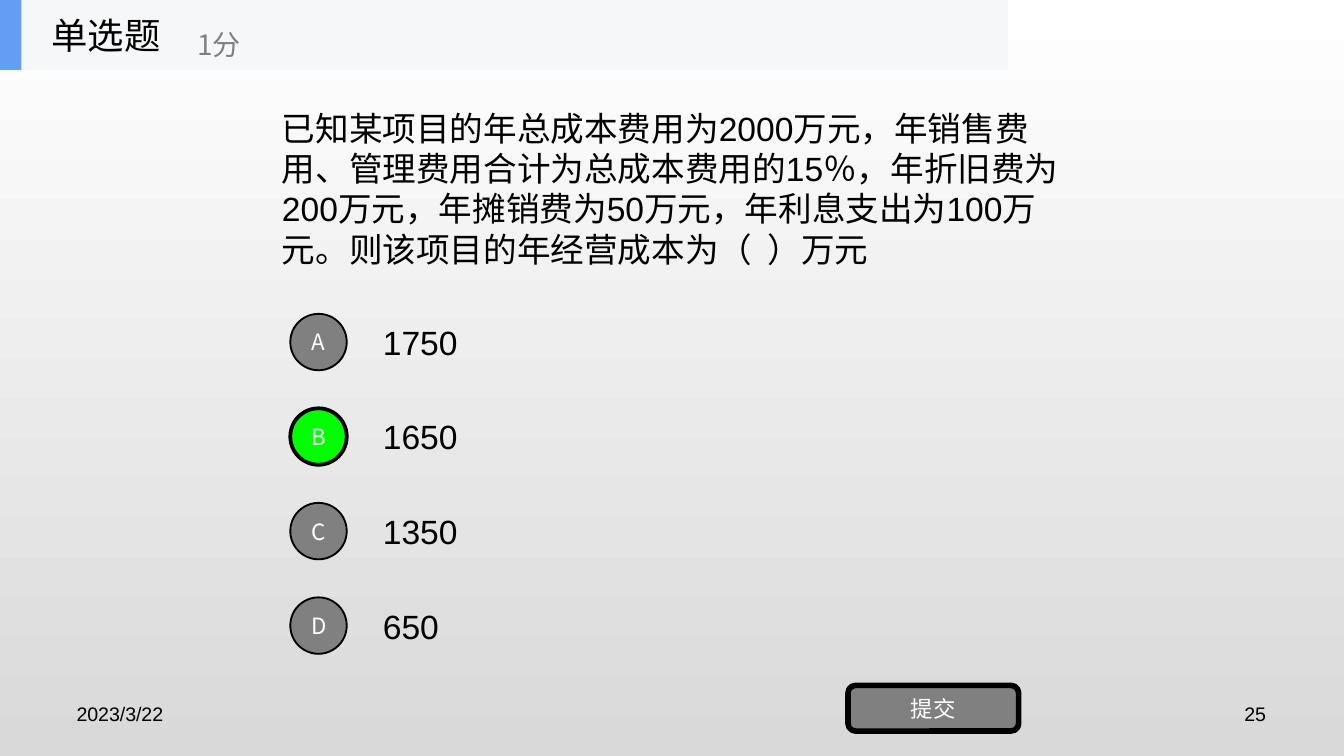
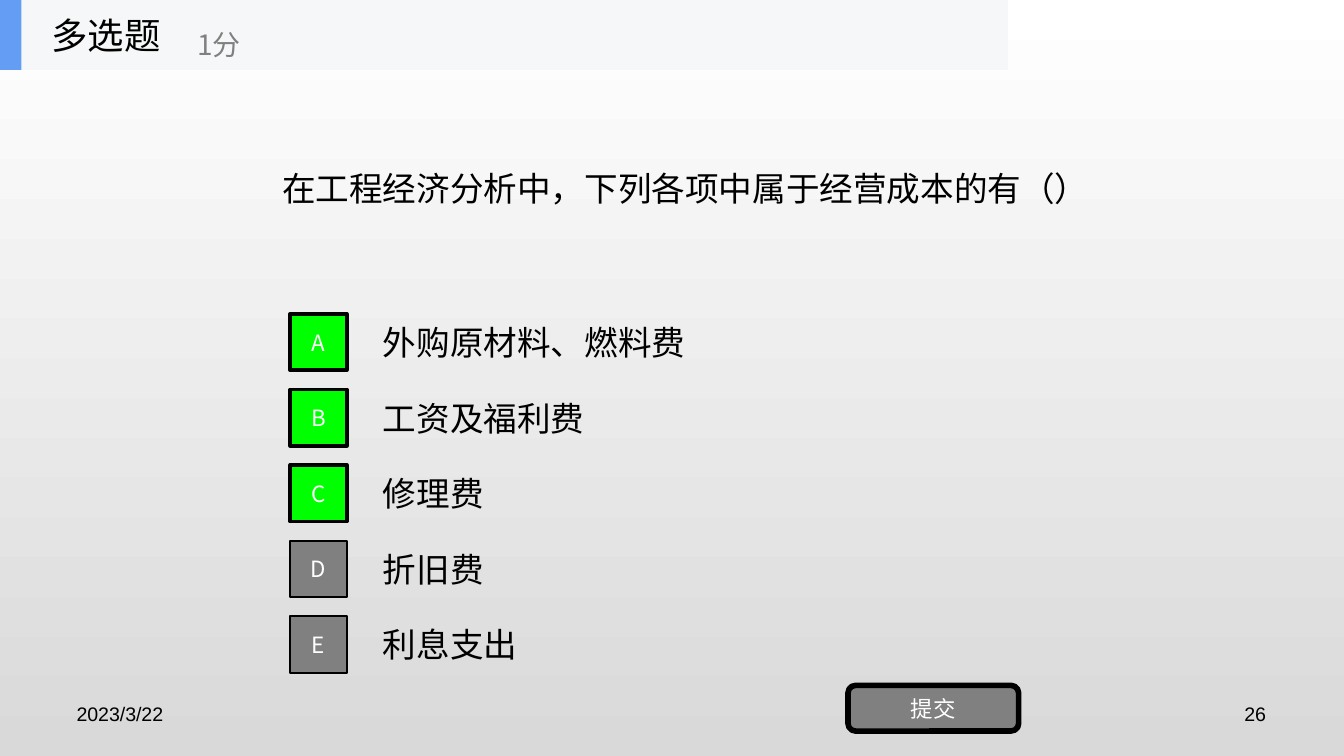
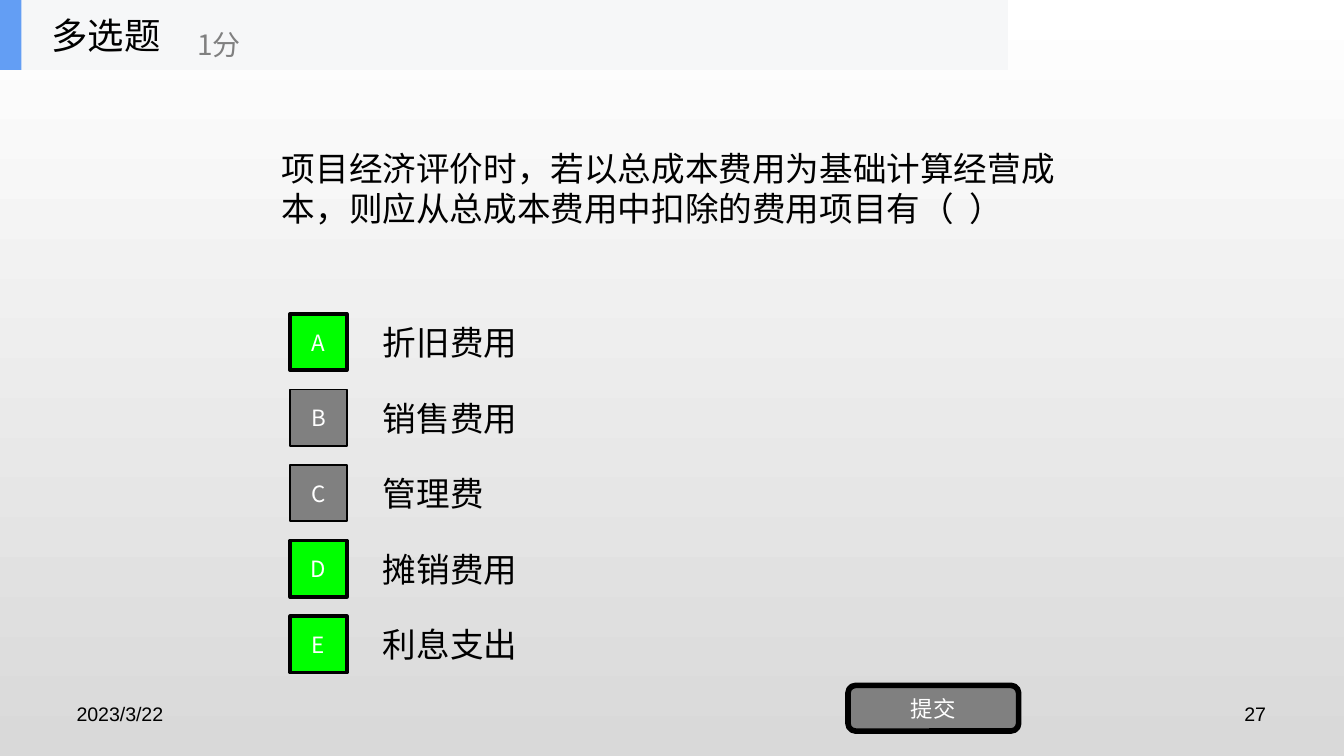
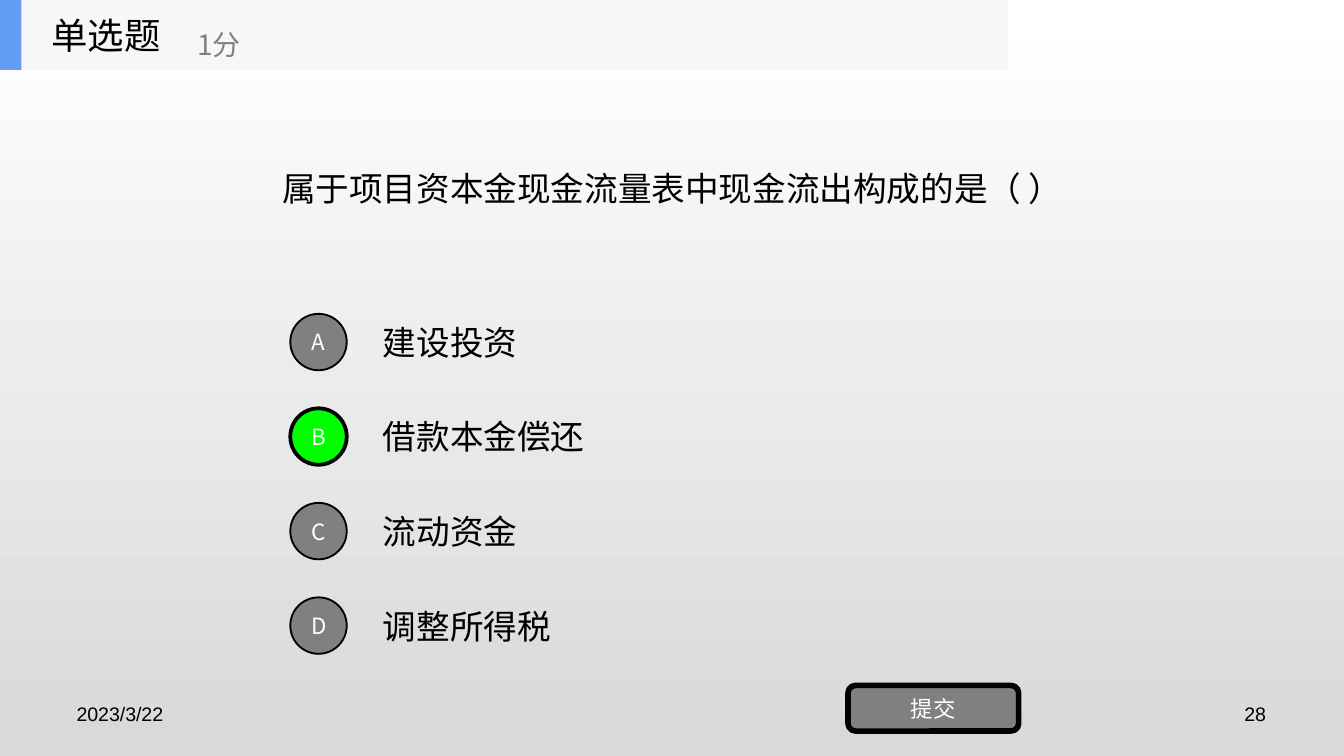
from dataclasses import dataclass

import lxml.etree
import pptx
import pptx.dml.color
import pptx.enum.shapes
import pptx.enum.text
import pptx.oxml.ns
import pptx.util

Inches = pptx.util.Inches
ShapeKind = pptx.enum.shapes.MSO_SHAPE
Align = pptx.enum.text.PP_ALIGN
Anchor = pptx.enum.text.MSO_ANCHOR

SLIDE_WIDTH = 10
SLIDE_HEIGHT = SLIDE_WIDTH * 9 / 16

LATIN_FONT = "Arial"
CHINESE_FONT = "Noto Sans CJK SC"
BLACK, WHITE, GRAY = "000000", "FFFFFF", "808080"
CORRECT_GREEN = "00FF00"
BAND_GRAY, BAND_BLUE = "F6F7F8", "639EF4"
BACKGROUND_END = "D9D9D9"

DATE = "2023/3/22"
FIRST_NUMBER = 25
CHOICE_TOP = 2.28
CHOICE_HEIGHT = 0.53
BADGE_SIZE = 0.42


@dataclass(frozen=True)
class Box:
    left: float
    top: float
    width: float
    height: float

    def lengths(self) -> tuple:
        return tuple(Inches(n) for n in (self.left, self.top, self.width, self.height))


@dataclass(frozen=True)
class TextStyle:
    size: float
    color: str = BLACK
    font: str = CHINESE_FONT
    align: Align = Align.LEFT
    anchor: Anchor = Anchor.MIDDLE
    wrap: bool = True
    margins: tuple[float, float] = (0.1, 0.05)


@dataclass(frozen=True)
class QuestionKind:
    """span is the distance from the first choice to the last."""
    title: str
    badge: ShapeKind
    span: float


@dataclass(frozen=True)
class Question:
    kind: QuestionKind
    text: str
    width: float
    choices: tuple[str, ...]
    correct: str
    font: str = LATIN_FONT


TITLE_STYLE = TextStyle(19.5, wrap=False)
SCORE_STYLE = TextStyle(15, GRAY, wrap=False)
BUTTON_STYLE = TextStyle(12, WHITE, align=Align.CENTER)
DATE_STYLE = TextStyle(10.5, font=LATIN_FONT, anchor=Anchor.TOP, margins=(0.07, 0.04))
NUMBER_STYLE = TextStyle(10.5, font=LATIN_FONT, align=Align.RIGHT,
                         anchor=Anchor.TOP, margins=(0.07, 0.04))

SINGLE = QuestionKind("单选题", ShapeKind.OVAL, 2.11)
MULTIPLE = QuestionKind("多选题", ShapeKind.RECTANGLE, 2.25)

QUESTIONS = (
    Question(SINGLE,
             "已知某项目的年总成本费用为2000万元，年销售费用、管理费用合计为总成本费用的15％，"
             "年折旧费为200万元，年摊销费为50万元，年利息支出为100万元。"
             "则该项目的年经营成本为（  ）万元",
             6, ("1750", "1650", "1350", "650"), "B"),
    Question(MULTIPLE, "在工程经济分析中，下列各项中属于经营成本的有（）", 6.38,
             ("外购原材料、燃料费", "工资及福利费", "修理费", "折旧费", "利息支出"), "ABC"),
    Question(MULTIPLE,
             "项目经济评价时，若以总成本费用为基础计算经营成本，则应从总成本费用中扣除的费用项目有（  ）",
             6, ("折旧费用", "销售费用", "管理费", "摊销费用", "利息支出"), "ADE"),
    Question(SINGLE, "属于项目资本金现金流量表中现金流出构成的是（ ）", 6.51,
             ("建设投资", "借款本金偿还", "流动资金", "调整所得税"), "B", CHINESE_FONT),
)


def rgb(color: str) -> pptx.dml.color.RGBColor:
    return pptx.dml.color.RGBColor.from_string(color)


def write_text(shape, text: str, style: TextStyle) -> None:
    frame = shape.text_frame
    frame.auto_size = pptx.enum.text.MSO_AUTO_SIZE.NONE
    frame.word_wrap = style.wrap
    frame.vertical_anchor = style.anchor
    frame.margin_left = frame.margin_right = Inches(style.margins[0])
    frame.margin_top = frame.margin_bottom = Inches(style.margins[1])
    paragraph = frame.paragraphs[0]
    paragraph.alignment = style.align
    run = paragraph.add_run()
    run.text = text
    run.font.size = pptx.util.Pt(style.size)
    run.font.name = style.font
    run.font.color.rgb = rgb(style.color)
    lxml.etree.SubElement(run.font._element, pptx.oxml.ns.qn("a:ea"), typeface=CHINESE_FONT)


def add_text(shapes, box: Box, text: str, style: TextStyle) -> None:
    write_text(shapes.add_textbox(*box.lengths()), text, style)


def add_filled(shapes, kind: ShapeKind, box: Box, fill: str, line_width: float = 0):
    """Add a filled shape, with a black outline if line_width is given."""
    shape = shapes.add_shape(kind, *box.lengths())
    shape.shadow.inherit = False
    shape.fill.solid()
    shape.fill.fore_color.rgb = rgb(fill)
    if line_width:
        shape.line.color.rgb = rgb(BLACK)
        shape.line.width = pptx.util.Pt(line_width)
    else:
        shape.line.fill.background()
    return shape


def add_button(shapes, kind: ShapeKind, box: Box, label: str, fill: str,
               line_width: float) -> None:
    write_text(add_filled(shapes, kind, box, fill, line_width), label, BUTTON_STYLE)


def add_header(slide, title: str) -> None:
    band = slide.shapes.add_group_shape().shapes
    add_filled(band, ShapeKind.RECTANGLE, Box(0, 0, 7.5, 0.52), BAND_GRAY)
    add_filled(band, ShapeKind.RECTANGLE, Box(0, 0, 0.16, 0.52), BAND_BLUE)
    add_text(band, Box(1.37, 0.12, 1.88, 0.42), "1分", SCORE_STYLE)
    placeholder = slide.shapes.title
    (placeholder.left, placeholder.top,
     placeholder.width, placeholder.height) = Box(0.28, 0, 1.56, 0.52).lengths()
    write_text(placeholder, title, TITLE_STYLE)
    # The title has to lie in front of the band.
    placeholder.element.getparent().append(placeholder.element)


def add_footer(slide, number: int) -> None:
    add_text(slide.shapes, Box(0.5, 5.18, 2.21, 0.26), DATE, DATE_STYLE)
    add_text(slide.shapes, Box(7.28, 5.18, 2.21, 0.26), str(number), NUMBER_STYLE)


def add_choices(slide, question: Question, style: TextStyle) -> None:
    pitch = question.kind.span / (len(question.choices) - 1)
    for index, (letter, choice) in enumerate(zip("ABCDE", question.choices)):
        top = CHOICE_TOP + index * pitch
        add_text(slide.shapes, Box(2.75, top, 5.25, CHOICE_HEIGHT), choice, style)
        fill, line_width = (CORRECT_GREEN, 2) if letter in question.correct else (GRAY, 1)
        badge_top = top + (CHOICE_HEIGHT - BADGE_SIZE) / 2
        add_button(slide.shapes, question.kind.badge,
                   Box(2.16, badge_top, BADGE_SIZE, BADGE_SIZE), letter, fill, line_width)


def add_question_slide(presentation, question: Question, number: int) -> None:
    slide = presentation.slides.add_slide(presentation.slide_layouts.get_by_name("Title Only"))
    style = TextStyle(18, font=question.font)
    add_footer(slide, number)
    add_text(slide.shapes, Box(2, 0.52, question.width, 1.76), question.text, style)
    add_choices(slide, question, style)
    add_button(slide.shapes, ShapeKind.ROUNDED_RECTANGLE, Box(6.31, 5.1, 1.27, 0.34),
               "提交", GRAY, 3)
    add_header(slide, question.kind.title)


def set_background(master) -> None:
    fill = master.background.fill
    fill.gradient()
    fill.gradient_angle = 270
    for stop, position, color in zip(fill.gradient_stops, (0, 1), (WHITE, BACKGROUND_END)):
        stop.position = position
        stop.color.rgb = rgb(color)


def main() -> None:
    presentation = pptx.Presentation()
    presentation.slide_width = Inches(SLIDE_WIDTH)
    presentation.slide_height = Inches(SLIDE_HEIGHT)
    set_background(presentation.slide_master)
    for number, question in enumerate(QUESTIONS, FIRST_NUMBER):
        add_question_slide(presentation, question, number)
    presentation.save("out.pptx")


if __name__ == "__main__":
    main()
